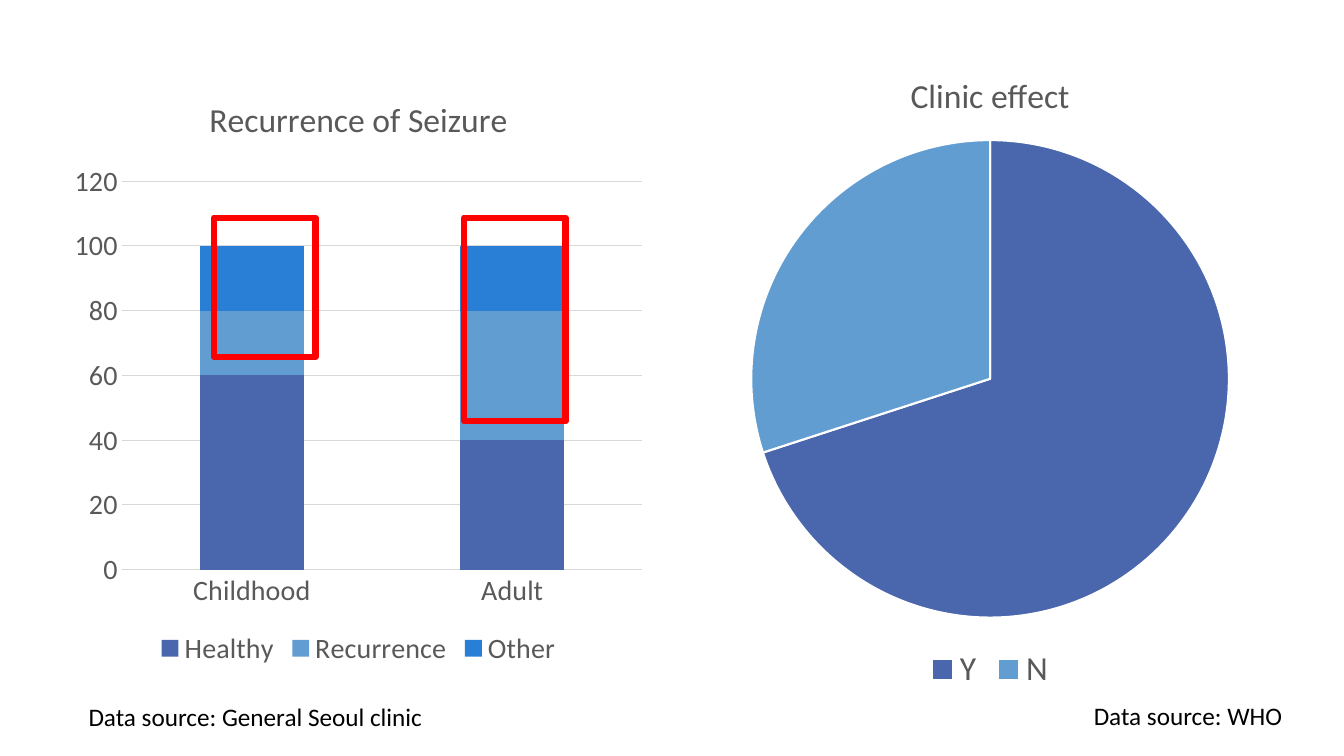
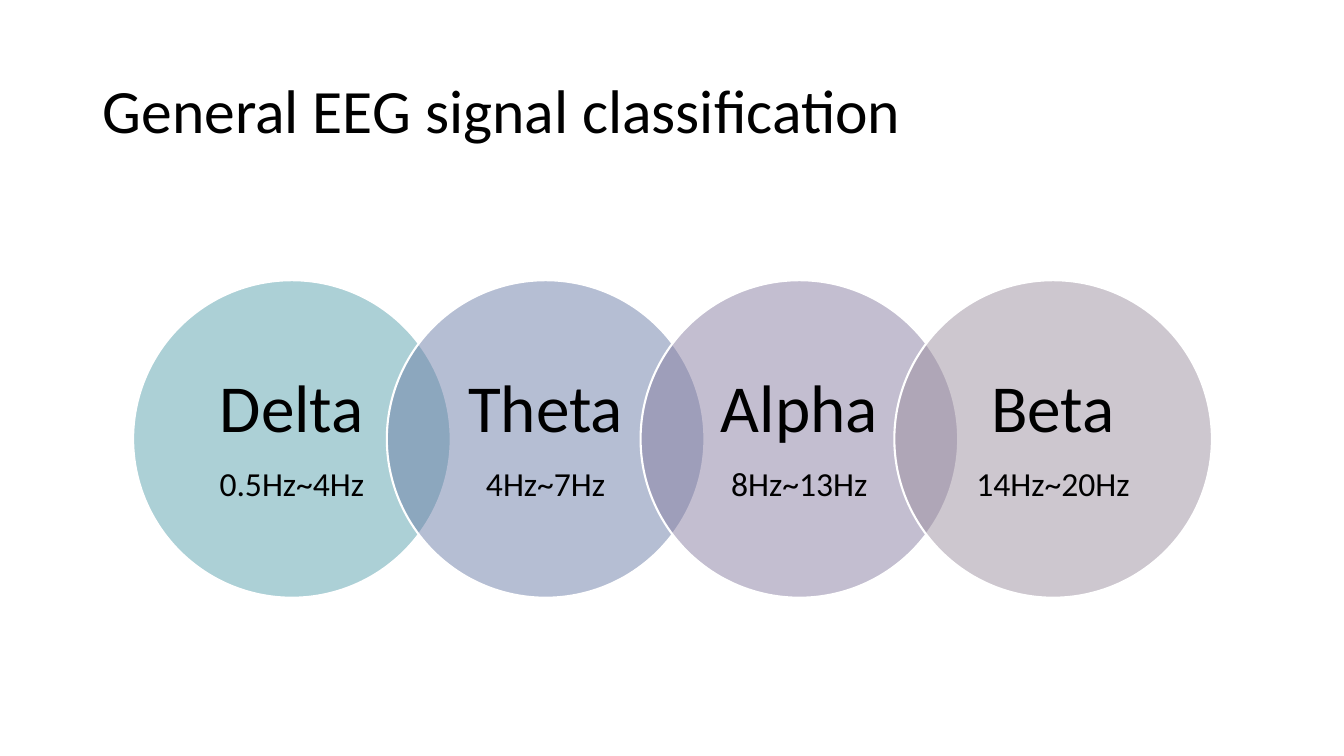
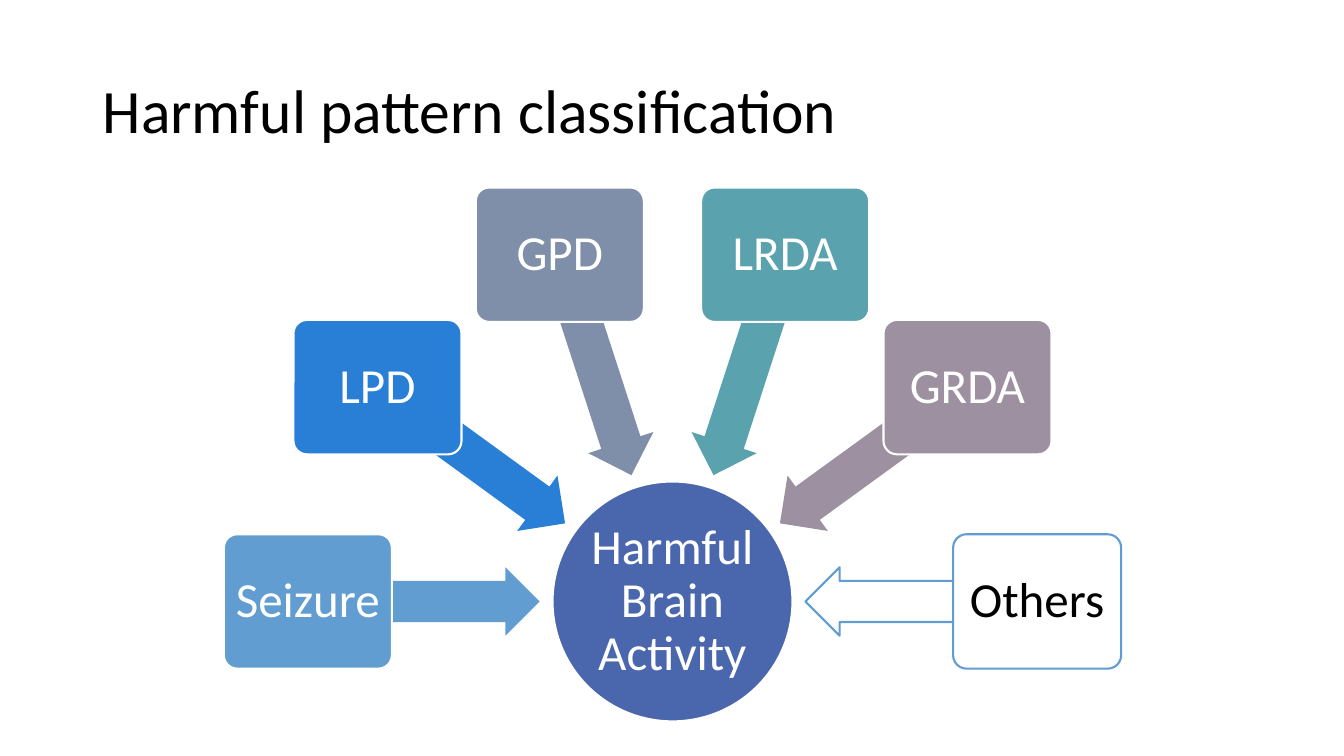
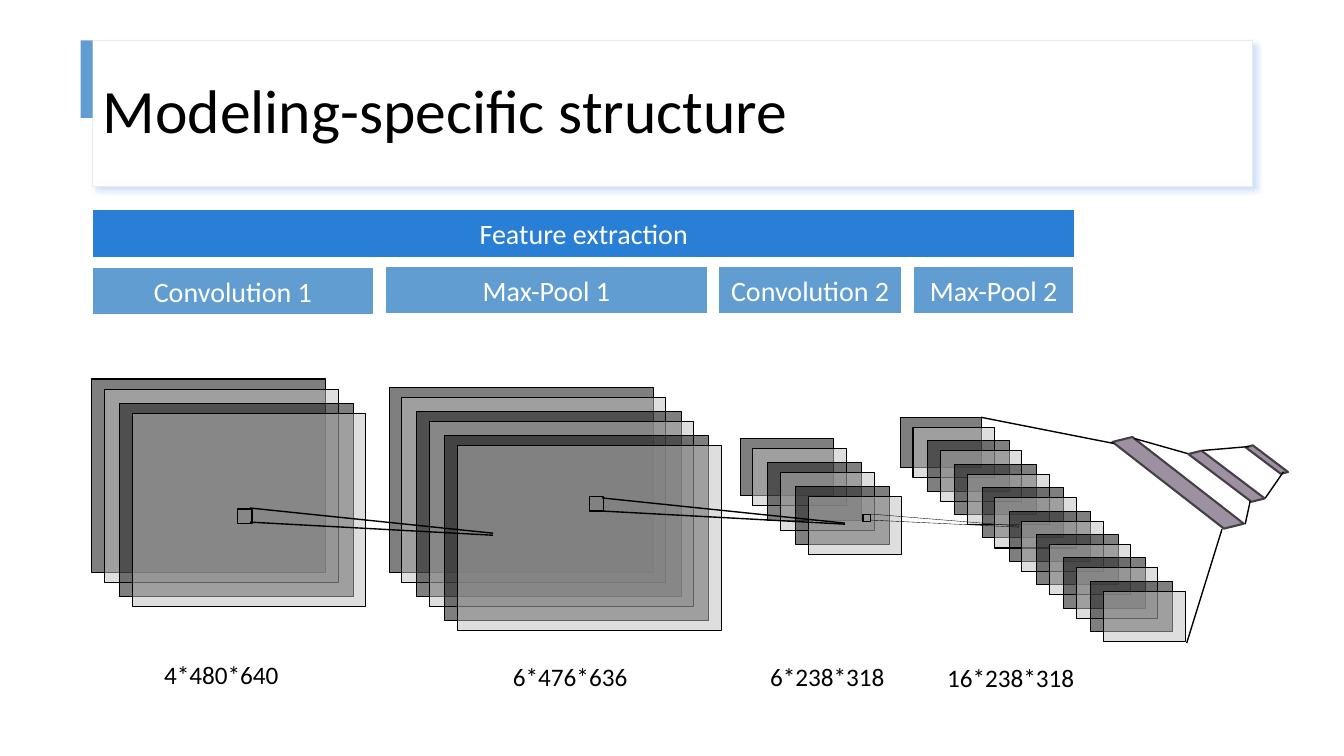
"""Build four slides on seizure data, EEG signals and a network structure."""
from math import cos, radians, sin

from lxml.etree import SubElement
from pptx import Presentation
from pptx.chart.data import CategoryChartData
from pptx.dml.color import RGBColor
from pptx.enum.chart import XL_CHART_TYPE as XL, XL_LEGEND_POSITION as LEGEND, XL_TICK_MARK as TICK
from pptx.enum.shapes import MSO_CONNECTOR as CONN, MSO_SHAPE as SHAPE
from pptx.enum.text import MSO_ANCHOR as ANCHOR, PP_ALIGN as ALIGN
from pptx.oxml.ns import qn
from pptx.util import Inches, Pt

rgb = RGBColor.from_string
FONT = "Calibri"
WHITE, BLACK, GRAY, RULE = "FFFFFF", "000000", "595959", "D9D9D9"
NAVY, SKY, BLUE, SLATE, TEAL, MAUVE = "4A66AC", "629DD1", "297FD5", "7F8FA9", "5AA2AE", "9D90A0"

prs = Presentation()
prs.slide_width, prs.slide_height = Inches(13.33), Inches(7.5)
U = prs.slide_height // 90  # square grid: 160 columns by 90 rows


def add(s, kind, at, fill=None, line=None, width=0.75, alpha=None):
    """Add a shape, or a text box when kind is None, placed on the grid."""
    box = [round(v * U) for v in at]
    sp = s.shapes.add_shape(kind, *box) if kind else s.shapes.add_textbox(*box)
    sp.shadow.inherit = False
    if fill:
        sp.fill.solid()
        sp.fill.fore_color.rgb = rgb(fill)
        if alpha:
            color = sp.fill._xPr.find(".//" + qn("a:srgbClr"))
            SubElement(color, qn("a:alpha")).set("val", str(alpha * 1000))
    else:
        sp.fill.background()
    if line:
        sp.line.color.rgb = rgb(line)
        sp.line.width = Pt(width)
    else:
        sp.line.fill.background()
    return sp


def write(sp, runs, color=BLACK, align=ALIGN.CENTER, anchor=ANCHOR.MIDDLE, spacing=1, inset=0.1):
    """Write one paragraph for each (text, size) pair."""
    tf = sp.text_frame
    tf.word_wrap = True
    tf.vertical_anchor = anchor
    tf.margin_left = tf.margin_right = Inches(inset)
    for i, (text, size) in enumerate(runs):
        p = tf.add_paragraph() if i else tf.paragraphs[0]
        p.alignment = align
        p.line_spacing = spacing
        if i:
            p.space_before = Pt(15)
        r = p.add_run()
        r.text = text
        r.font.name, r.font.size = FONT, Pt(size)
        r.font.color.rgb = rgb(color)


slides = [prs.slides.add_slide(prs.slide_layouts[6]) for _ in range(4)]
titles = ["General EEG signal classification", "Harmful pattern classification",
          "Modeling-specific structure"]
title_at = (11.04, 4.8, 138, 17.4)
for s, title in zip(slides[1:], titles):
    framed = s is slides[3]
    sp = add(s, None, title_at, WHITE if framed else None, "EBE9EC" if framed else None)
    write(sp, [(title, 44)], align=ALIGN.LEFT, spacing=0.9)
    if framed:
        effects = sp._element.spPr.find(qn("a:effectLst"))
        shadow = SubElement(effects, qn("a:outerShdw"), blurRad=str(Pt(4)), dist=str(Pt(3)),
                            dir="2700000", algn="tl", rotWithShape="0")
        color = SubElement(shadow, qn("a:srgbClr"), val="85B2F6")
        SubElement(color, qn("a:alpha"), val="40000")

s = slides[0]
charts = [
    (XL.PIE, "Clinic effect", ["Y", "N"], [("Clinic effect", [70, 30])],
     (84, 5.76, 67.68, 77.16), 24, (0.08, 0.14, 0.84, 0.74)),
    (XL.COLUMN_STACKED, "Recurrence of Seizure", ["Childhood", "Adult"],
     [("Healthy", [60, 40]), ("Recurrence", [20, 40]), ("Other", [20, 20])],
     (7.44, 8.76, 70.44, 71.16), 20, (0.1, 0.18, 0.88, 0.65)),
]
for kind, title, cats, series, at, size, plot_at in charts:
    data = CategoryChartData()
    data.categories = cats
    for name, values in series:
        data.add_series(name, values)
    chart = s.shapes.add_chart(kind, *[round(v * U) for v in at], data).chart
    chart.font.name, chart.font.size = FONT, Pt(size)
    chart.font.color.rgb = rgb(GRAY)
    chart.has_title = True
    r = chart.chart_title.text_frame.paragraphs[0].add_run()
    r.text = title
    r.font.name, r.font.size, r.font.bold = FONT, Pt(24), False
    r.font.color.rgb = rgb(GRAY)
    chart.chart_title.include_in_layout = False
    chart.has_legend = True
    chart.legend.position = LEGEND.BOTTOM
    chart.legend.include_in_layout = False
    area = chart._chartSpace.chart.plotArea
    layout = area.find(qn("c:layout"))
    if layout is None:
        layout = SubElement(area, qn("c:layout"))
        area.insert(0, layout)
    manual = SubElement(layout, qn("c:manualLayout"))
    marks = [("layoutTarget", "inner"), ("xMode", "edge"), ("yMode", "edge")]
    for tag, value in marks + list(zip("xywh", plot_at)):
        SubElement(manual, qn("c:" + tag)).set("val", str(value))
    plot = chart.plots[0]
    if kind == XL.PIE:
        for i, fill in enumerate([NAVY, SKY]):
            wedge = plot.series[0].points[i].format
            wedge.fill.solid()
            wedge.fill.fore_color.rgb = rgb(fill)
            wedge.line.color.rgb = rgb(WHITE)
            wedge.line.width = Pt(1.5)
        continue
    plot.vary_by_categories = False
    plot.gap_width, plot.overlap = 150, 100
    for ser, fill in zip(plot.series, [NAVY, SKY, BLUE]):
        ser.format.fill.solid()
        ser.format.fill.fore_color.rgb = rgb(fill)
    values, groups = chart.value_axis, chart.category_axis
    values.major_tick_mark = groups.major_tick_mark = TICK.NONE
    values.maximum_scale, values.minimum_scale, values.major_unit = 120, 0, 20
    values.format.line.fill.background()
    for line in (values.major_gridlines.format.line, groups.format.line):
        line.color.rgb = rgb(RULE)
        line.width = Pt(0.75)

for text, at in [("Data source: General Seoul clinic", (9.36, 82.92, 53.16, 4.8)),
                 ("Data source: WHO", (129, 82.8, 27.24, 4.8))]:
    write(add(s, None, at), [(text, 18)], align=ALIGN.LEFT, anchor=ANCHOR.TOP)
for x, height in [(25.44, 16.56), (55.2, 24.24)]:
    add(s, SHAPE.RECTANGLE, (x, 25.92, 12.12, height), line="FF0000", width=4.5)

s = slides[1]
bands = [("Delta", "0.5Hz~4Hz", TEAL), ("Theta", "4Hz~7Hz", "6D7FA8"),
         ("Alpha", "8Hz~13Hz", "887FA3"), ("Beta", "14Hz~20Hz", MAUVE)]
for i, (name, span, fill) in enumerate(bands):
    sp = add(s, SHAPE.OVAL, (15.84 + 30.2 * i, 33.36, 37.8, 37.8), fill, WHITE, 1.5, 50)
    write(sp, [(name, 48), (span, 24)], spacing=0.9, inset=0.17)

s = slides[2]
hub_x, hub_y, hub = 80.04, 71.6, 28.56
sp = add(s, SHAPE.OVAL, (hub_x - hub / 2, hub_y - hub / 2, hub, hub), NAVY, WHITE, 1.5)
write(sp, [("Harmful Brain Activity", 35)], WHITE, spacing=0.9, inset=0.02)
patterns = [("Seizure", SKY), ("LPD", BLUE), ("GPD", SLATE), ("LRDA", TEAL), ("GRDA", MAUVE),
            ("Others", WHITE)]
for i, (name, fill) in enumerate(patterns):
    angle = 180 - 36 * i
    dx, dy = cos(radians(angle)), -sin(radians(angle))
    plain = fill == WHITE
    for kind, radius, w, h in [(SHAPE.LEFT_ARROW, 29.55, 27.48, 8.16),
                               (SHAPE.ROUNDED_RECTANGLE, 43.4, 20, 16)]:
        at = (hub_x + radius * dx - w / 2, hub_y + radius * dy - h / 2, w, h)
        arrow = kind == SHAPE.LEFT_ARROW
        sp = add(s, kind, at, fill, SKY if plain else None if arrow else WHITE, 1.5)
        if arrow:
            sp.rotation = -angle % 360
            sp.adjustments[0], sp.adjustments[1] = 0.6, 0.5
        else:
            sp.adjustments[0] = 0.1
            write(sp, [(name, 35)], BLACK if plain else WHITE, spacing=0.9, inset=0.05)

s = slides[3]
add(s, SHAPE.RECTANGLE, (9.6, 4.8, 1.44, 9.24), SKY)
stacks = [(16, 107.16, 49.68, 9.72, 6, 3.24, 2.79), (6, 88.08, 52.2, 11.16, 6.84, 3.3, 2.88),
          (6, 46.32, 46.08, 31.44, 22.08, 3.3, 2.88), (4, 10.92, 45.12, 27.84, 23.04, 3.3, 2.88)]
for count, x, y, w, h, step_x, step_y in stacks:
    for i in range(count):
        pair, front = divmod(i, 2)
        at = (x + step_x * pair + 1.5 * front, y + step_y * pair + 1.2 * front, w, h)
        add(s, SHAPE.RECTANGLE, at, "BFBFBF" if front else BLACK, BLACK, alpha=50)
for x, y, side in [(28.32, 60.6, 1.68), (70.2, 59.16, 1.68), (102.72, 61.2, 0.84)]:
    add(s, SHAPE.RECTANGLE, (x, y, side, side), line=BLACK)
for x, y, w, h in [(133.8, 50.88, 12.84, 13.2), (142.2, 53.04, 7.56, 7.32),
                   (148.68, 52.68, 4.2, 4.08)]:
    sp = add(s, SHAPE.PARALLELOGRAM, (x, y, w, h), MAUVE, "453F46", 1.5)
    sp.adjustments[0] = 0.81
    sp.rotation = 346.1
    sp._element.spPr.xfrm.set("flipH", "1")
links = [(29.76, 60.48, 58.68, 63.48, 1), (29.76, 62.16, 58.68, 63.72, 1),
         (71.64, 59.28, 100.56, 62.28, 1), (71.64, 60.84, 100.56, 62.4, 1),
         (103.68, 61.2, 121.32, 62.64, 0.25), (103.68, 61.92, 121.32, 62.76, 0.25),
         (116.76, 49.68, 132.6, 52.8, 1), (141.24, 76.56, 145.44, 63, 1),
         (135, 52.2, 141.36, 54, 1), (148.2, 62.4, 148.8, 59.64, 1),
         (143.04, 53.64, 148.68, 53.16, 1), (150.6, 59.28, 152.76, 56.16, 1)]
for *ends, width in links:
    link = s.shapes.add_connector(CONN.STRAIGHT, *[round(v * U) for v in ends])
    link.line.color.rgb = rgb(BLACK)
    link.line.width = Pt(width)
    SubElement(link._element.spPr, qn("a:effectLst"))
for text, x, y, w, fill in [("Feature extraction", 10.92, 24.84, 117.12, BLUE),
                            ("Convolution 1", 10.92, 31.68, 33.6, SKY),
                            ("Max-Pool 1", 45.72, 31.56, 38.64, SKY),
                            ("Convolution 2", 85.44, 31.56, 21.96, SKY),
                            ("Max-Pool 2", 108.6, 31.56, 19.32, SKY)]:
    write(add(s, SHAPE.RECTANGLE, (x, y, w, 5.88), fill, WHITE, 2), [(text, 20)], WHITE)
for text, x, y in [("4*480*640", 16.56, 77.88), ("6*476*636", 58.08, 78.12),
                   ("6*238*318", 88.68, 78.12), ("16*238*318", 110.52, 78.24)]:
    write(add(s, None, (x, y, 19.56, 4.8)), [(text, 18)], anchor=ANCHOR.TOP)

prs.save("out.pptx")
